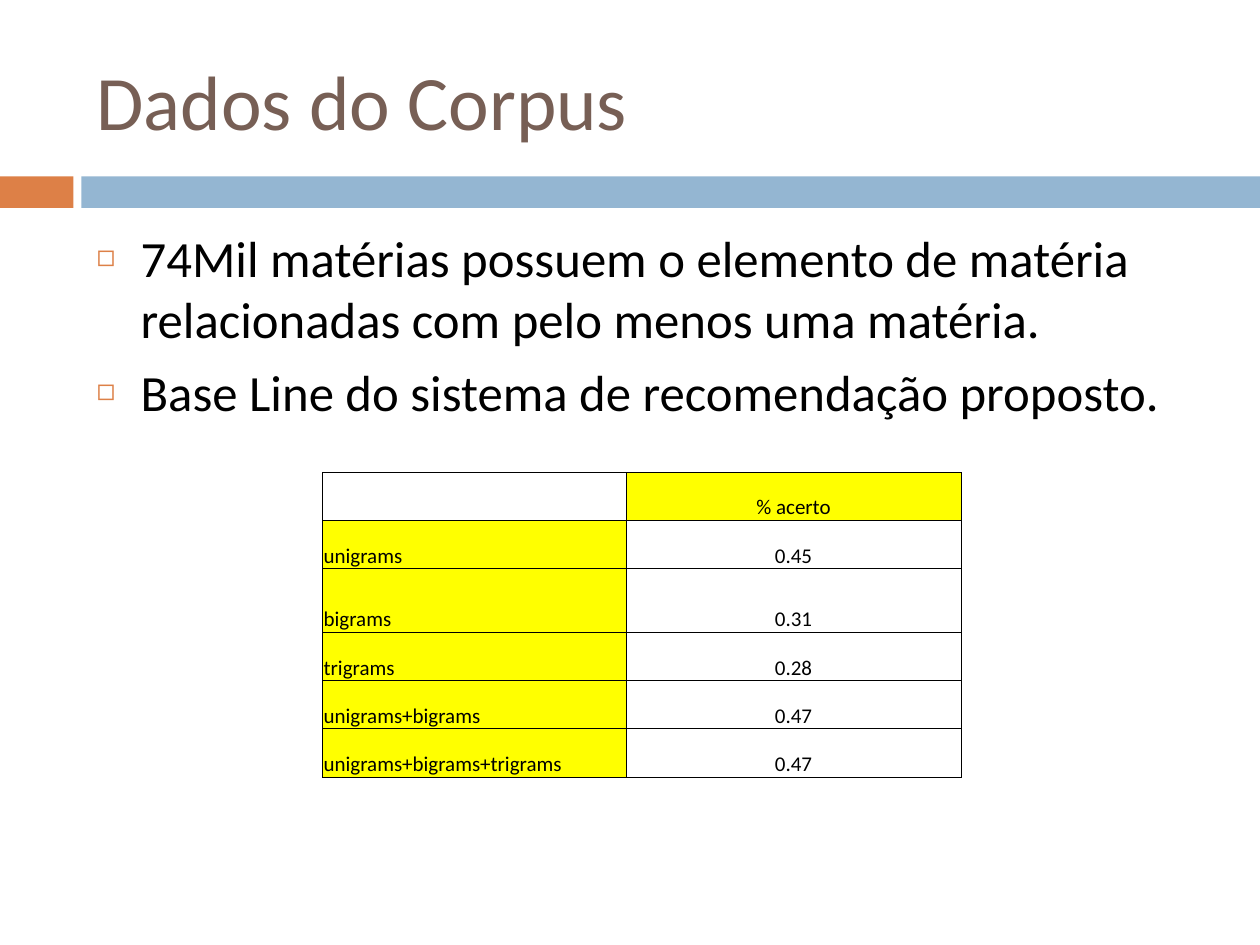
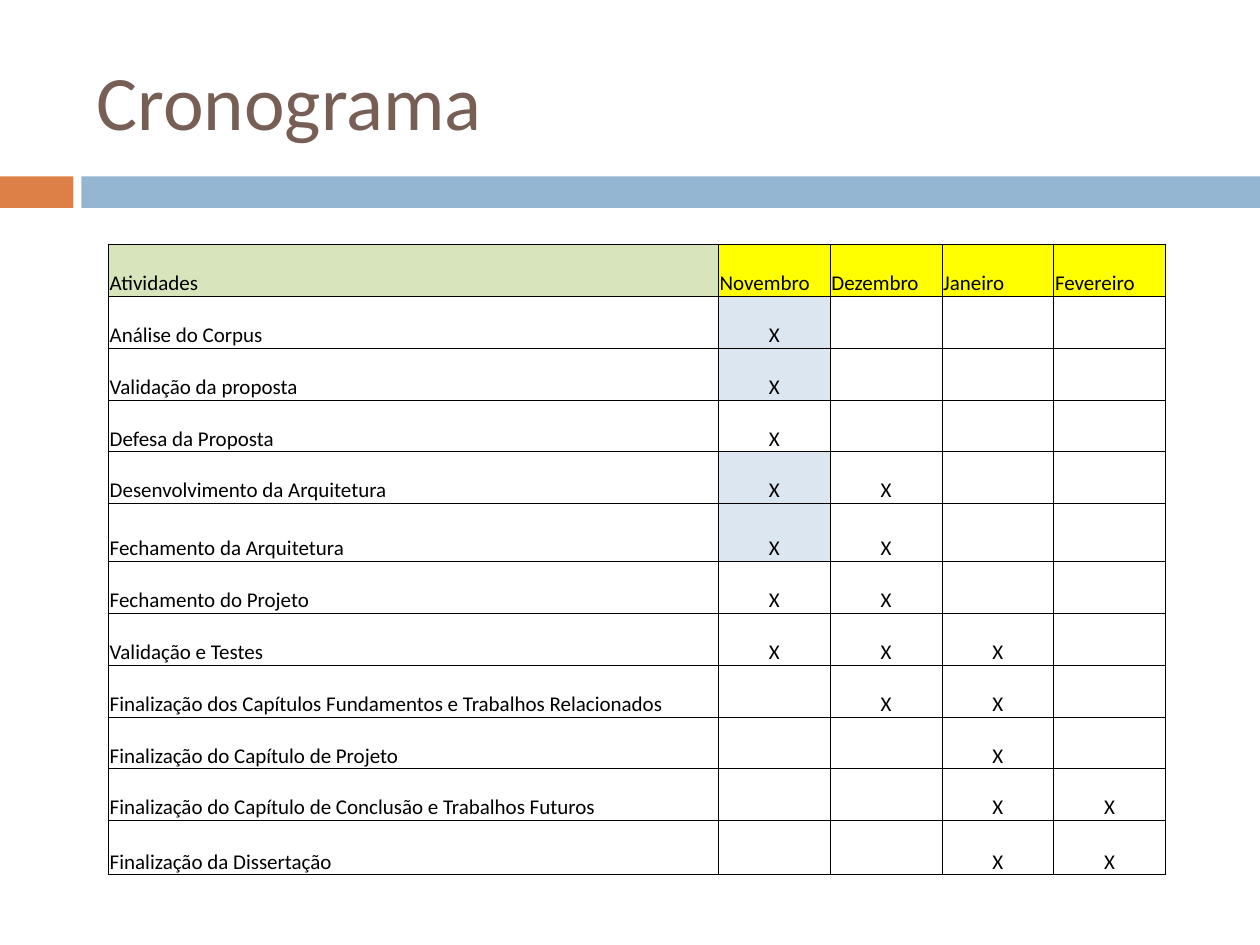
from dataclasses import dataclass

import lxml.etree
import pptx
import pptx.dml.color
import pptx.dml.fill
import pptx.enum.shapes
import pptx.enum.text
import pptx.oxml.ns
import pptx.presentation
import pptx.shapes.placeholder
import pptx.slide
import pptx.table
import pptx.text.text
import pptx.util

Pt = pptx.util.Pt
Align = pptx.enum.text.PP_ALIGN
Anchor = pptx.enum.text.MSO_ANCHOR


@dataclass(frozen=True)
class Theme:
    font: str = "Calibri"
    text: str = "000000"
    title: str = "775F55"
    accent: str = "DD8047"
    band: str = "94B6D2"
    label: str = "FFFF00"
    activities: str = "D8E4BC"
    done: str = "DCE6F1"
    title_size: float = 44
    body_size: float = 29
    table_size: float = 12
    thin: float = 0.5
    thick: float = 1


@dataclass(frozen=True)
class Box:
    left: float
    top: float
    width: float
    height: float


@dataclass(frozen=True)
class Band:
    box: Box
    color: str


@dataclass(frozen=True)
class CellText:
    text: str = ""
    fill: str | None = None
    centered: bool = False


@dataclass(frozen=True)
class Grid:
    left: float
    top: float
    columns: list[float]
    heights: list[float]
    rows: list[list[CellText]]
    outline: float


@dataclass(frozen=True)
class Activity:
    name: str
    first_month: int
    last_month: int
    done: bool = False


THEME = Theme()
SLIDE_WIDTH, SLIDE_HEIGHT = 720, 540
TITLE_BOX = Box(48, 18, 642, 78)
BODY_BOX = Box(48, 126, 642, 354)
BANDS = [
    Band(Box(0, 100.8, 42, 18), THEME.accent),
    Band(Box(46.5, 100.8, 673.5, 18), THEME.band),
]
BULLET, BULLET_PERCENT, BULLET_INDENT = "◻", 60, 25.2

CORPUS_POINTS = [
    "74Mil matérias possuem o elemento de matéria relacionadas com pelo menos uma matéria.",
    "Base Line do sistema de recomendação proposto.",
]
HIT_RATES = {
    "unigrams": "0.45",
    "bigrams": "0.31",
    "trigrams": "0.28",
    "unigrams+bigrams": "0.47",
    "unigrams+bigrams+trigrams": "0.47",
}
MONTHS = ["Novembro", "Dezembro", "Janeiro", "Fevereiro"]
ACTIVITIES = [
    Activity("Análise do Corpus", 0, 0, done=True),
    Activity("Validação da proposta", 0, 0, done=True),
    Activity("Defesa da Proposta", 0, 0),
    Activity("Desenvolvimento da Arquitetura", 0, 1, done=True),
    Activity("Fechamento da Arquitetura", 0, 1, done=True),
    Activity("Fechamento do Projeto", 0, 1),
    Activity("Validação e Testes", 0, 2),
    Activity("Finalização dos Capítulos Fundamentos e Trabalhos Relacionados", 1, 2),
    Activity("Finalização do Capítulo de Projeto", 2, 2),
    Activity("Finalização do Capítulo de Conclusão e Trabalhos Futuros", 2, 3),
    Activity("Finalização da Dissertação", 2, 3),
]


# Shared helpers
def set_fill(fill: pptx.dml.fill.FillFormat, color: str | None) -> None:
    if color is None:
        fill.background()
    else:
        fill.solid()
        fill.fore_color.rgb = pptx.dml.color.RGBColor.from_string(color)


def set_font(paragraph: pptx.text.text._Paragraph, size: float, color: str) -> None:
    paragraph.font.name = THEME.font
    paragraph.font.size = Pt(size)
    paragraph.font.color.rgb = pptx.dml.color.RGBColor.from_string(color)


def add_element(parent: lxml.etree._Element, tag: str, **attributes: str) -> lxml.etree._Element:
    return lxml.etree.SubElement(parent, pptx.oxml.ns.qn(tag), attributes)


def place(placeholder: pptx.shapes.placeholder.SlidePlaceholder, box: Box, anchor: Anchor) -> None:
    placeholder.left, placeholder.top = Pt(box.left), Pt(box.top)
    placeholder.width, placeholder.height = Pt(box.width), Pt(box.height)
    frame = placeholder.text_frame
    frame.auto_size = pptx.enum.text.MSO_AUTO_SIZE.NONE
    frame.vertical_anchor = anchor


# Title and bands, the same on every slide
def add_slide(presentation: pptx.presentation.Presentation, layout: str, title: str) -> pptx.slide.Slide:
    slide = presentation.slides.add_slide(presentation.slide_layouts.get_by_name(layout))
    for band in BANDS:
        box = band.box
        shape = slide.shapes.add_shape(
            pptx.enum.shapes.MSO_SHAPE.RECTANGLE,
            Pt(box.left), Pt(box.top), Pt(box.width), Pt(box.height),
        )
        shape.shadow.inherit = False
        shape.line.fill.background()
        set_fill(shape.fill, band.color)
    heading = slide.shapes.title
    place(heading, TITLE_BOX, Anchor.MIDDLE)
    heading.text_frame.text = title
    paragraph = heading.text_frame.paragraphs[0]
    paragraph.alignment = Align.LEFT
    set_font(paragraph, THEME.title_size, THEME.title)
    return slide


# Bulleted list in the body placeholder
def fill_body(slide: pptx.slide.Slide, points: list[str]) -> None:
    body = slide.placeholders[1]
    place(body, BODY_BOX, Anchor.TOP)
    body.text_frame.text = "\n".join(points)
    for paragraph in body.text_frame.paragraphs:
        paragraph.space_before = Pt(7)
        properties = paragraph._p.get_or_add_pPr()
        properties.set("marL", str(Pt(BULLET_INDENT)))
        properties.set("indent", str(-Pt(BULLET_INDENT)))
        color = add_element(properties, "a:buClr")
        add_element(color, "a:srgbClr", val=THEME.accent)
        add_element(properties, "a:buSzPct", val=str(BULLET_PERCENT * 1000))
        add_element(properties, "a:buChar", char=BULLET)
        set_font(paragraph, THEME.body_size, THEME.text)


# Tables
def set_borders(cell: pptx.table._Cell, widths: dict[str, float]) -> None:
    properties = cell._tc.get_or_add_tcPr()
    for position, (side, width) in enumerate(widths.items()):
        line = add_element(properties, f"a:ln{side}", w=str(Pt(width)))
        fill = add_element(line, "a:solidFill")
        add_element(fill, "a:srgbClr", val=THEME.text)
        properties.insert(position, line)


def format_cell(cell: pptx.table._Cell, content: CellText) -> None:
    cell.margin_left = cell.margin_right = cell.margin_top = Pt(0.72)
    cell.margin_bottom = Pt(0)
    cell.vertical_anchor = Anchor.BOTTOM
    set_fill(cell.fill, content.fill)
    cell.text = content.text
    paragraph = cell.text_frame.paragraphs[0]
    paragraph.alignment = Align.CENTER if content.centered else Align.LEFT
    set_font(paragraph, THEME.table_size, THEME.text)


def add_grid(slide: pptx.slide.Slide, grid: Grid) -> None:
    last_row, last_column = len(grid.heights) - 1, len(grid.columns) - 1
    table = slide.shapes.add_table(
        last_row + 1, last_column + 1, Pt(grid.left), Pt(grid.top),
        Pt(sum(grid.columns)), Pt(sum(grid.heights)),
    ).table
    table.first_row = table.horz_banding = False
    for column, width in zip(table.columns, grid.columns):
        column.width = Pt(width)
    for row, height in zip(table.rows, grid.heights):
        row.height = Pt(height)
    for row_index, contents in enumerate(grid.rows):
        for column_index, content in enumerate(contents):
            cell = table.cell(row_index, column_index)
            format_cell(cell, content)
            outer_sides = {
                "L": column_index == 0,
                "R": column_index == last_column,
                "T": row_index == 0,
                "B": row_index == last_row,
            }
            set_borders(cell, {
                side: grid.outline if outer else THEME.thin
                for side, outer in outer_sides.items()
            })


def hit_rate_grid() -> Grid:
    header = [CellText(), CellText("% acerto", THEME.label, centered=True)]
    rows = [
        [CellText(name, THEME.label), CellText(rate, centered=True)]
        for name, rate in HIT_RATES.items()
    ]
    heights = [27.5] * 2 + [36.5] + [27.5] * 3
    return Grid(184.25, 270, [173.5, 191.5], heights, [header, *rows], THEME.thin)


def activity_row(activity: Activity) -> list[CellText]:
    row = [CellText(activity.name)]
    for month in range(len(MONTHS)):
        planned = activity.first_month <= month <= activity.last_month
        shaded = activity.done and month == 0
        row.append(CellText("X" if planned else "", THEME.done if shaded else None, centered=True))
    return row


def schedule_grid() -> Grid:
    header = [CellText("Atividades", THEME.activities)]
    header += [CellText(month, THEME.label) for month in MONTHS]
    rows = [activity_row(activity) for activity in ACTIVITIES]
    columns = [348.5] + [63.9] * len(MONTHS)
    heights = [29.65] * 5 + [33] + [29.65] * 5 + [30.9]
    return Grid(62, 139.7, columns, heights, [header, *rows], THEME.thick)


def main() -> None:
    presentation = pptx.Presentation()
    presentation.slide_width, presentation.slide_height = Pt(SLIDE_WIDTH), Pt(SLIDE_HEIGHT)

    # Corpus data
    corpus = add_slide(presentation, "Title and Content", "Dados do Corpus")
    fill_body(corpus, CORPUS_POINTS)
    add_grid(corpus, hit_rate_grid())

    # Schedule
    schedule = add_slide(presentation, "Title Only", "Cronograma")
    add_grid(schedule, schedule_grid())

    presentation.save("out.pptx")


if __name__ == "__main__":
    main()
